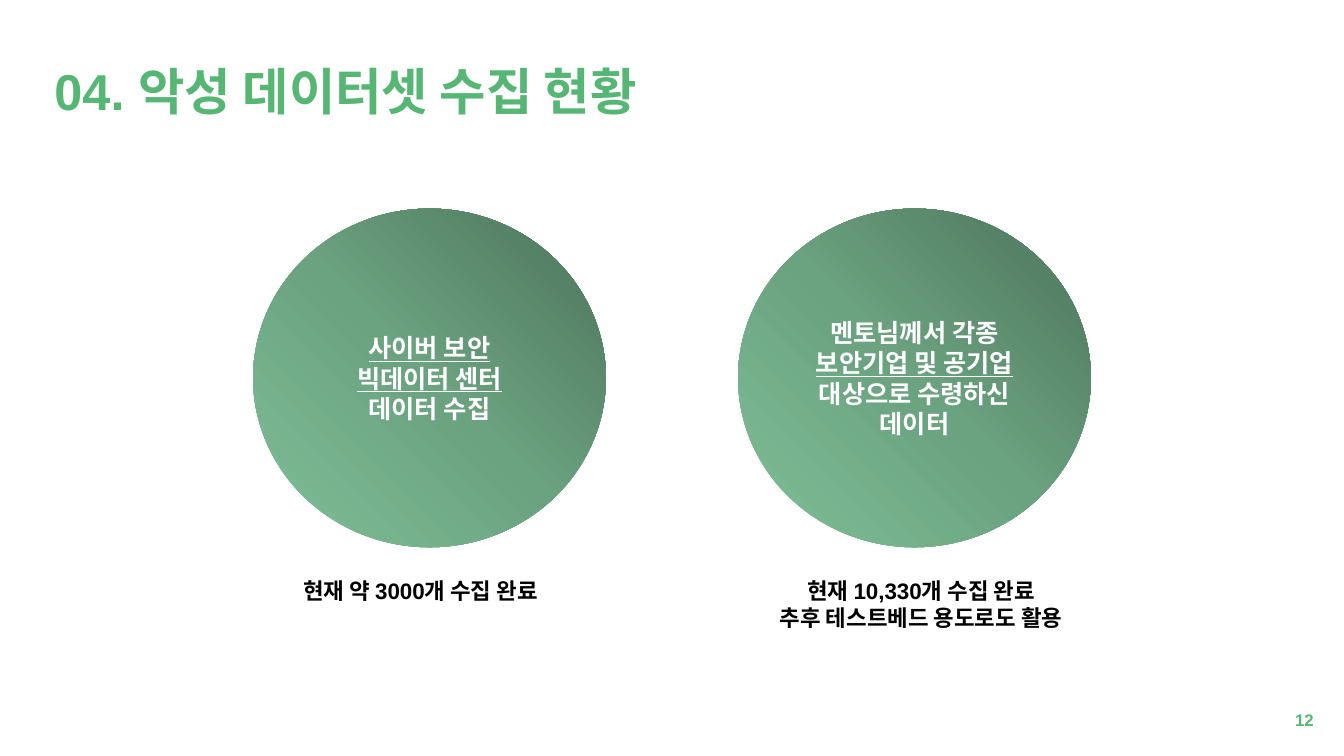
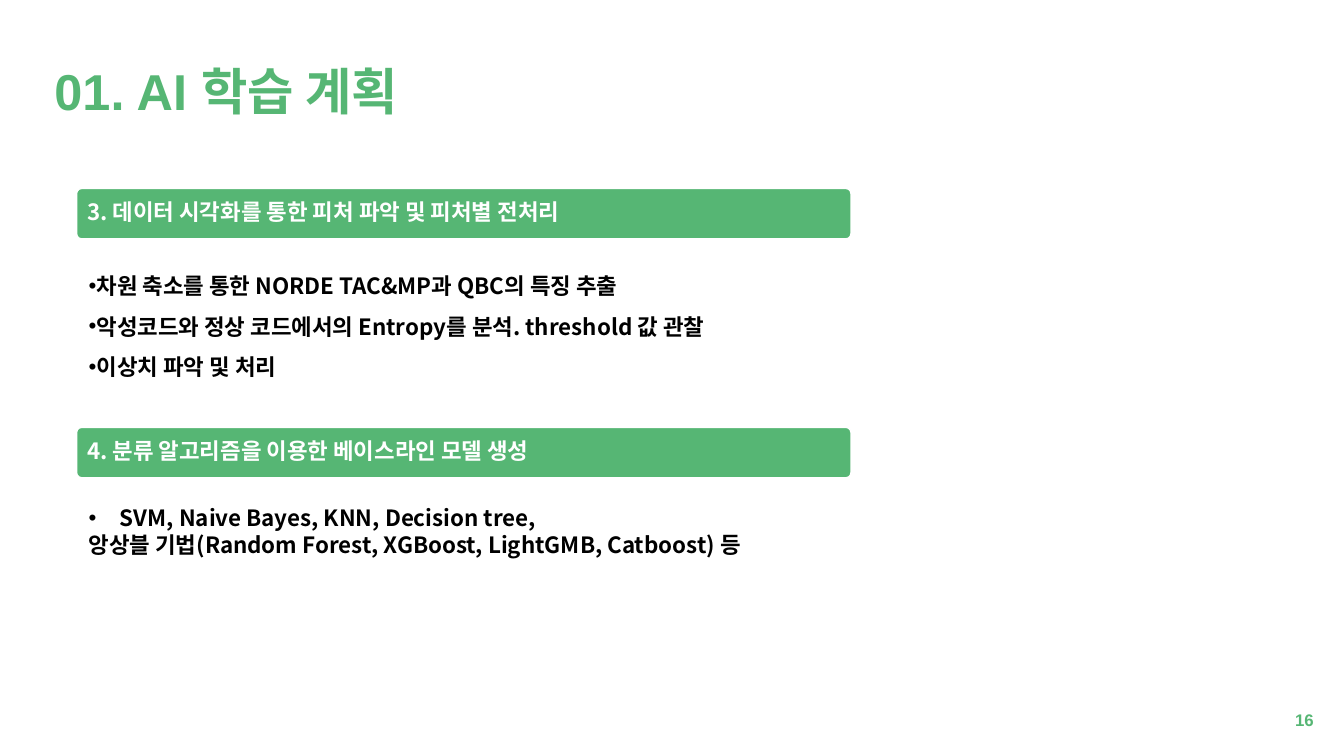
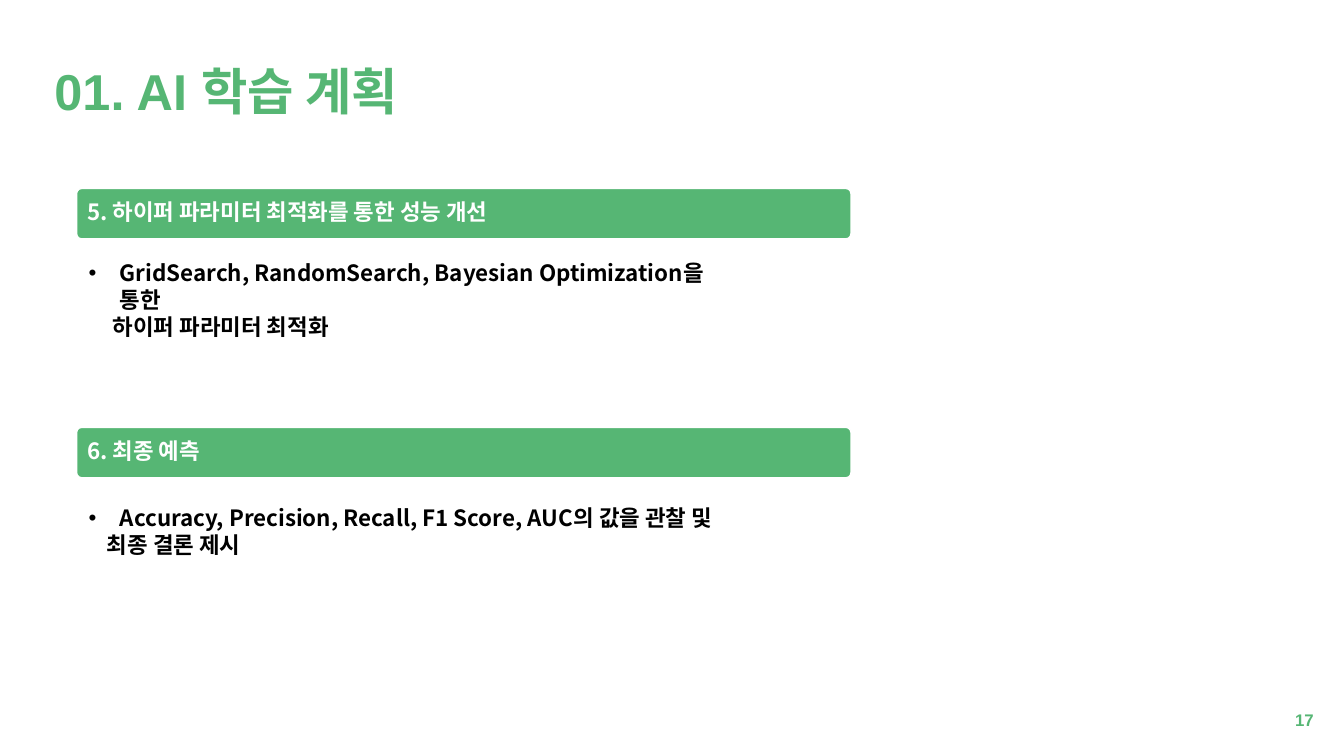
"""Builds three slides on malware data collection and the AI training plan."""
from lxml import etree
from pptx import Presentation
from pptx.dml.color import RGBColor
from pptx.enum.shapes import MSO_SHAPE
from pptx.enum.text import MSO_ANCHOR, MSO_AUTO_SIZE, PP_ALIGN
from pptx.oxml import parse_xml
from pptx.oxml.ns import qn
from pptx.util import Inches, Pt

ELLIPSE, ROUNDED = MSO_SHAPE.OVAL, MSO_SHAPE.ROUNDED_RECTANGLE
TOP, MIDDLE = MSO_ANCHOR.TOP, MSO_ANCHOR.MIDDLE
LEFT, CENTER, RIGHT = PP_ALIGN.LEFT, PP_ALIGN.CENTER, PP_ALIGN.RIGHT
NO_FIT = MSO_AUTO_SIZE.NONE

GREEN, WHITE, BLACK = "56B674", "FFFFFF", "000000"
CIRCLE_STOPS = ((0, "4B725A"), (50, "6BA280"), (100, "7FC098"))
LATIN, KOREAN = "Arial", "Noto Sans CJK KR"
TITLE_ONLY, TWO_LISTS = 5, 3
DRAWING_NS = "http://schemas.openxmlformats.org/drawingml/2006/main"

TITLE_FONT = {"name": LATIN, "size": Pt(36), "color": GREEN}
NUMBER_FONT = {"name": LATIN, "size": Pt(12), "color": GREEN}
CAPTION_FONT = {"name": LATIN, "size": Pt(16), "color": BLACK}
CIRCLE_FONT = {"name": KOREAN, "size": Pt(18), "color": WHITE}
HEADING_FONT = {"name": KOREAN, "size": Pt(16), "color": WHITE}
LIST_FONT = {"name": KOREAN, "size": Pt(16), "color": BLACK}

TITLE_LAYOUT = {"alignment": LEFT, "line_spacing": 0.9}
HEADING_LAYOUT = {"alignment": LEFT, "line_spacing": 0.9, "space_after": Pt(5.6)}
LIST_LAYOUT = {"alignment": LEFT, "space_before": Pt(0), "line_spacing": 1.0}
LOOSE_LIST_LAYOUT = {**LIST_LAYOUT, "line_spacing": 1.5}

HEADING_TOPS = (1.87, 4.24)
LIST_TOPS = (2.52, 4.95)
HANGING = 0.31


def rgb(hex_color):
    """Turn a hex string into a colour."""
    return RGBColor.from_string(hex_color)


def apply(target, values):
    """Set each named value on the target."""
    for name, value in values.items():
        setattr(target, name, value)


def place(shape, box):
    """Move a shape to left, top, width and height in inches."""
    apply(shape, dict(zip(("left", "top", "width", "height"), map(Inches, box))))


def add_run(paragraph, text, font, underline=False):
    """Append bold text with the same Korean fallback everywhere."""
    run = paragraph.add_run()
    run.text = text
    values = {name: value for name, value in font.items() if name != "color"}
    apply(run.font, {**values, "bold": True, "underline": underline})
    run.font.color.rgb = rgb(font["color"])
    east_asian = etree.SubElement(run.font._element, qn("a:ea"))
    east_asian.set("typeface", KOREAN)


def write(frame, paragraphs, font, layout, anchor=TOP):
    """Fill a frame with paragraphs, each a list of (text, underline) runs."""
    apply(frame, {"word_wrap": True, "auto_size": NO_FIT, "vertical_anchor": anchor})
    for index, runs in enumerate(paragraphs):
        paragraph = frame.paragraphs[0] if index == 0 else frame.add_paragraph()
        apply(paragraph, layout)
        for text, underline in runs:
            add_run(paragraph, text, font, underline)


def plain(*lines):
    """Make one paragraph without underline from each line."""
    return [[(line, False)] for line in lines]


def set_bullet(paragraph, bulleted, margin, indent):
    """Set the bullet and indents of a paragraph."""
    properties = paragraph._p.get_or_add_pPr()
    properties.set("marL", str(Inches(margin)))
    properties.set("indent", str(Inches(indent)))
    bullet = etree.SubElement(properties, qn("a:buChar" if bulleted else "a:buNone"))
    if bulleted:
        bullet.set("char", "•")


def fill_corner_gradient(shape):
    """Fill a shape with a gradient spreading from its top right corner."""
    stops = "".join(
        f'<a:gs pos="{position * 1000}"><a:srgbClr val="{color}"/></a:gs>'
        for position, color in CIRCLE_STOPS)
    shape.fill.background()
    properties = shape._element.spPr
    properties.replace(properties.find(qn("a:noFill")), parse_xml(
        f'<a:gradFill xmlns:a="{DRAWING_NS}"><a:gsLst>{stops}</a:gsLst>'
        '<a:path path="circle"><a:fillToRect l="100000" b="100000"/></a:path>'
        '</a:gradFill>'))


def add_text(slide, box, lines, font, alignment, anchor=TOP):
    """Add a text box."""
    text_box = slide.shapes.add_textbox(*map(Inches, box))
    write(text_box.text_frame, plain(*lines), font, {"alignment": alignment}, anchor)


def add_slide(deck, layout_index, title, number):
    """Add a slide with the shared title and page number."""
    slide = deck.slides.add_slide(deck.slide_layouts[layout_index])
    place(slide.shapes.title, (0.44, 0.44, 8, 0.98))
    write(slide.shapes.title.text_frame, plain(title), TITLE_FONT, TITLE_LAYOUT, MIDDLE)
    add_text(slide, (10.13, 6.94, 3, 0.4), [number], NUMBER_FONT, RIGHT, MIDDLE)
    return slide


def add_circle(slide, left, paragraphs):
    """Add a gradient circle naming a data source."""
    circle = slide.shapes.add_shape(ELLIPSE, *map(Inches, (left, 2.07, 3.5, 3.36)))
    circle.shadow.inherit = False
    circle.line.fill.background()
    fill_corner_gradient(circle)
    write(circle.text_frame, paragraphs, CIRCLE_FONT, {"alignment": CENTER}, MIDDLE)


def add_heading(slide, top, text):
    """Add a green section bar."""
    bar = slide.shapes.add_shape(ROUNDED, *map(Inches, (0.76, top, 7.68, 0.5)))
    bar.adjustments[0] = 0.1
    bar.shadow.inherit = False
    bar.fill.solid()
    bar.fill.fore_color.rgb = rgb(GREEN)
    bar.line.color.rgb = rgb(WHITE)
    bar.line.width = Pt(1)
    apply(bar.text_frame, {"margin_left": Inches(0.09), "margin_top": Inches(0.07),
                           "margin_bottom": Inches(0.07)})
    write(bar.text_frame, plain(text), HEADING_FONT, HEADING_LAYOUT, MIDDLE)


def fill_list(body, box, items, layout=LIST_LAYOUT):
    """Fill a body placeholder with (text, bulleted, margin, indent) items."""
    place(body, box)
    write(body.text_frame, plain(*(item[0] for item in items)), LIST_FONT, layout)
    for paragraph, (_, *bullet) in zip(body.text_frame.paragraphs, items):
        set_bullet(paragraph, *bullet)


def hanging_item(text, continuation, margin):
    """Make a hanging bullet followed by an unbulleted line."""
    return [(text, True, HANGING, -HANGING), (continuation, False, margin, 0)]


def add_plan_slide(deck, number, headings):
    """Add a training plan slide and return its two list placeholders."""
    slide = add_slide(deck, TWO_LISTS, "01. AI 학습 계획", number)
    for top, heading in zip(HEADING_TOPS, headings):
        add_heading(slide, top, heading)
    return slide.placeholders[1], slide.placeholders[2]


def build_collection(deck):
    """Build the data collection status slide."""
    slide = add_slide(deck, TITLE_ONLY, "04. 악성 데이터셋 수집 현황", "12")
    add_circle(slide, 2.51, [
        [("사이버 보안", True)], [("빅데이터 센터", True)], [("데이터 수집", False)]])
    add_circle(slide, 7.32, [
        [("멘토님께서 각종", False)],
        [("보안기업 및 공기업 ", True), ("대상으로 수령하신 데이터", False)]])
    add_text(slide, (2.91, 5.68, 2.77, 0.37), ["현재 약 3000개 수집 완료"],
             CAPTION_FONT, LEFT)
    add_text(slide, (7.49, 5.68, 3.29, 0.64),
             ["현재 10,330개 수집 완료", "추후 테스트베드 용도로도 활용"],
             CAPTION_FONT, CENTER)


def build_features(deck):
    """Build the slide on features and baseline models."""
    features, models = add_plan_slide(deck, "16", (
        "3. 데이터 시각화를 통한 피처 파악 및 피처별 전처리",
        "4. 분류 알고리즘을 이용한 베이스라인 모델 생성"))
    feature_steps = (
        "차원 축소를 통한 NORDE TAC&MP과 QBC의 특징 추출",
        "악성코드와 정상 코드에서의 Entropy를 분석. threshold 값 관찰",
        "이상치 파악 및 처리")
    fill_list(features, (0.78, LIST_TOPS[0], 6.77, 1.62),
              [(step, True, 0, 0) for step in feature_steps], LOOSE_LIST_LAYOUT)
    fill_list(models, (0.78, LIST_TOPS[1], 6.92, 0.64), hanging_item(
        "SVM, Naive Bayes, KNN, Decision tree,",
        "앙상블 기법(Random Forest, XGBoost, LightGMB, Catboost) 등", 0))


def build_tuning(deck):
    """Build the slide on tuning and final prediction."""
    tuning, prediction = add_plan_slide(deck, "17", (
        "5. 하이퍼 파라미터 최적화를 통한 성능 개선", "6. 최종 예측"))
    fill_list(tuning, (0.78, LIST_TOPS[0], 6.69, 0.94), hanging_item(
        "GridSearch, RandomSearch, Bayesian Optimization을 통한",
        "하이퍼 파라미터 최적화", 0.24))
    fill_list(prediction, (0.78, LIST_TOPS[1], 6.54, 0.64), hanging_item(
        "Accuracy, Precision, Recall, F1 Score, AUC의 값을 관찰 및",
        "최종 결론 제시", 0.18))


def main():
    """Build and save the deck."""
    deck = Presentation()
    deck.slide_width, deck.slide_height = Inches(13.33), Inches(7.5)
    build_collection(deck)
    build_features(deck)
    build_tuning(deck)
    deck.save("out.pptx")


if __name__ == "__main__":
    main()
